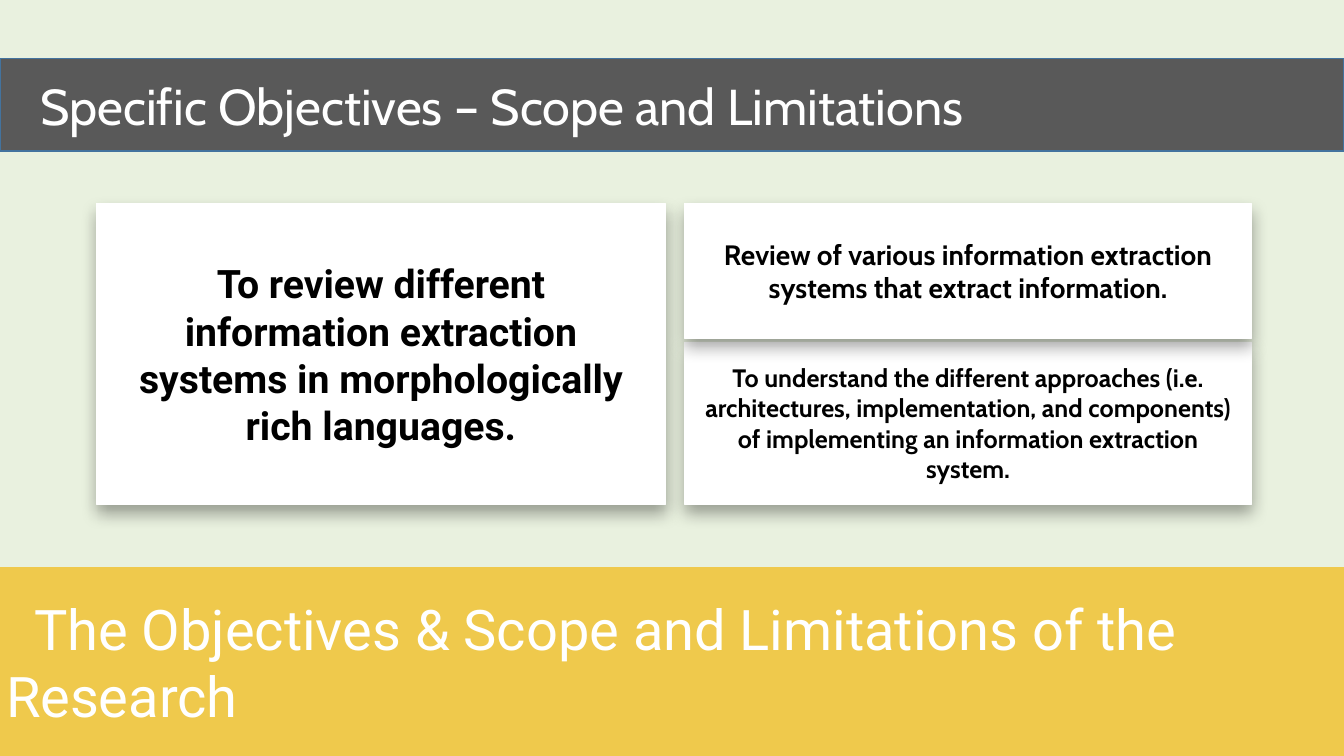
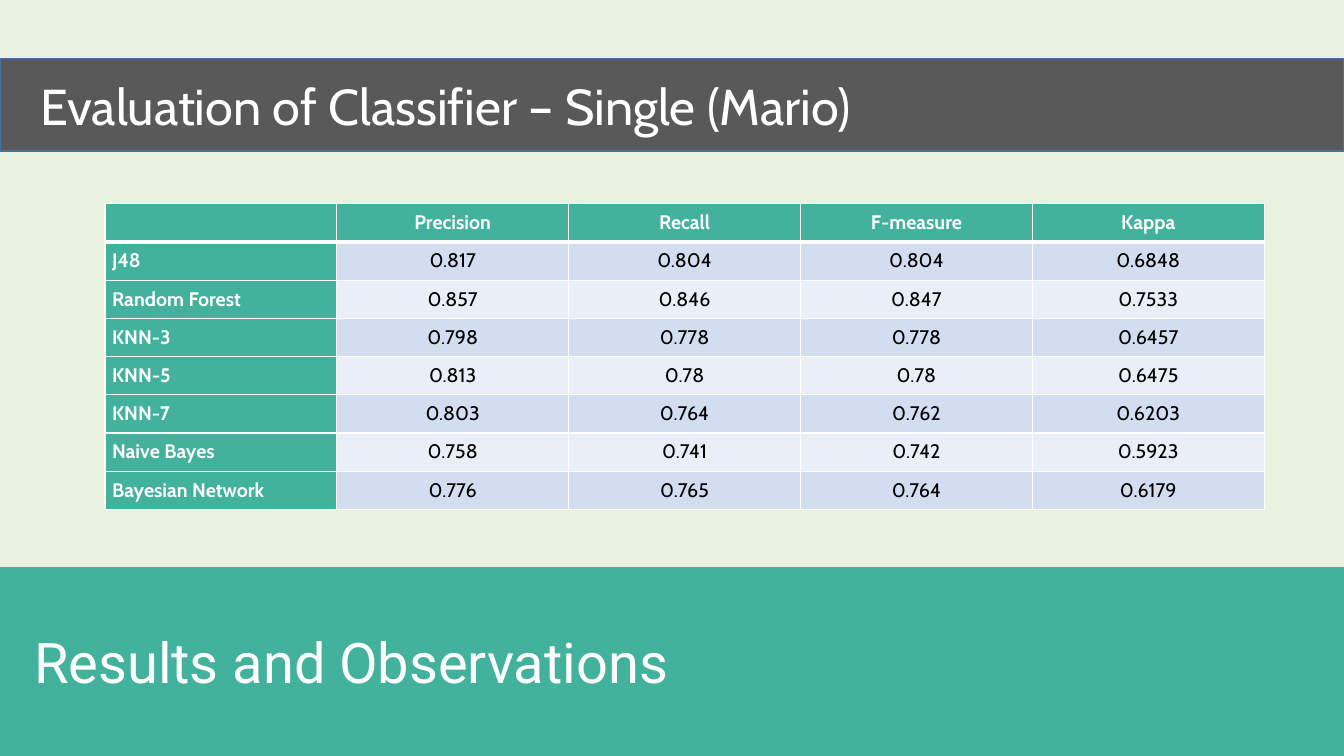
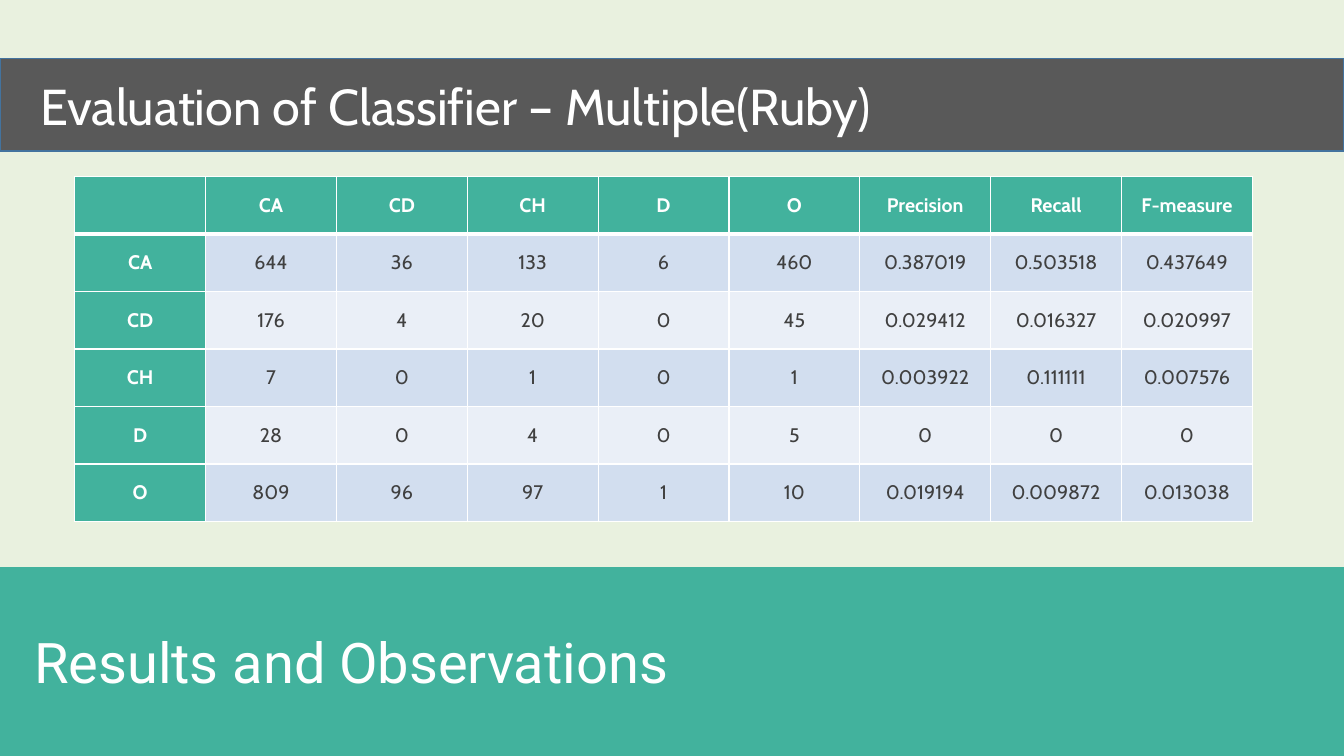
from dataclasses import dataclass

import lxml.etree
import pptx
import pptx.dml.color
import pptx.enum.shapes
import pptx.enum.text
import pptx.oxml.ns
import pptx.util

COLORS = {
    "page": "E9F1DF", "band": "595959", "band_edge": "43739E",
    "objectives": "EFC94C", "results": "42B29D", "white": "FFFFFF",
    "black": "000000", "gray": "404040", "odd_row": "D2DEEF", "even_row": "EAEFF7",
}
HEADING_FONT = "Roboto"
BODY_FONT = "Cabin"
COLUMNS, ROWS = 160, 90
UNIT = pptx.util.Inches(7.5) // ROWS
CELL_MARGIN = pptx.util.Inches(0.07)

ALIGN = pptx.enum.text.PP_ALIGN
MIDDLE = pptx.enum.text.MSO_ANCHOR.MIDDLE
TOP = pptx.enum.text.MSO_ANCHOR.TOP


@dataclass(frozen=True)
class Frame:
    """A place on the slide, in columns and rows of the 160 by 90 grid."""
    left: float
    top: float
    width: float
    height: float

    def emu(self) -> list[int]:
        return [round(n * UNIT) for n in (self.left, self.top, self.width, self.height)]


@dataclass(frozen=True)
class TextStyle:
    font: str
    size: int
    color: str
    bold: bool = False
    align: ALIGN = ALIGN.LEFT


@dataclass(frozen=True)
class Band:
    frame: Frame
    style: TextStyle
    inset: float
    first_line_indent: float


@dataclass(frozen=True)
class Card:
    frame: Frame
    style: TextStyle
    text: str


@dataclass(frozen=True)
class ScoreTable:
    frame: Frame
    headings: list[str]
    scores: dict[str, list[str]]
    score_color: str
    label_align: ALIGN
    anchor: pptx.enum.text.MSO_ANCHOR


TITLE = Band(Frame(0, 7, COLUMNS, 11), TextStyle(BODY_FONT, 36, "white"), 0.1, 0.3)
SECTION = Band(Frame(0, 67.5, COLUMNS, 22.5), TextStyle(HEADING_FONT, 40, "white"), 0.06, 0.28)

CARDS = [
    Card(Frame(11.5, 24.25, 67.7, 35.75),
         TextStyle(HEADING_FONT, 28, "black", True, ALIGN.CENTER),
         "To review different information extraction systems in morphologically rich languages."),
    Card(Frame(81.5, 40.7, 67.5, 19.3),
         TextStyle(BODY_FONT, 18, "black", True, ALIGN.CENTER),
         "To understand the different approaches (i.e. architectures, implementation, "
         "and components) of implementing an information extraction system."),
    Card(Frame(81.5, 24.25, 67.5, 16),
         TextStyle(BODY_FONT, 20, "black", True, ALIGN.CENTER),
         "Review of various information extraction systems that extract information."),
]

SINGLE_SCORES = ScoreTable(
    Frame(12.5, 24.25, 138, 36.4),
    ["Precision", "Recall", "F-measure", "Kappa"],
    {
        "J48": ["0.817", "0.804", "0.804", "0.6848"],
        "Random Forest": ["0.857", "0.846", "0.847", "0.7533"],
        "KNN-3": ["0.798", "0.778", "0.778", "0.6457"],
        "KNN-5": ["0.813", "0.78", "0.78", "0.6475"],
        "KNN-7": ["0.803", "0.764", "0.762", "0.6203"],
        "Naive Bayes": ["0.758", "0.741", "0.742", "0.5923"],
        "Bayesian Network": ["0.776", "0.765", "0.764", "0.6179"],
    },
    "black", ALIGN.JUSTIFY, TOP)

MULTIPLE_SCORES = ScoreTable(
    Frame(8.9, 21, 140.2, 41.1),
    ["CA", "CD", "CH", "D", "O", "Precision", "Recall", "F-measure"],
    {
        "CA": ["644", "36", "133", "6", "460", "0.387019", "0.503518", "0.437649"],
        "CD": ["176", "4", "20", "0", "45", "0.029412", "0.016327", "0.020997"],
        "CH": ["7", "0", "1", "0", "1", "0.003922", "0.111111", "0.007576"],
        "D": ["28", "0", "4", "0", "5", "0", "0", "0"],
        "O": ["809", "96", "97", "1", "10", "0.019194", "0.009872", "0.013038"],
    },
    "gray", ALIGN.CENTER, MIDDLE)


def rgb(name: str) -> pptx.dml.color.RGBColor:
    return pptx.dml.color.RGBColor.from_string(COLORS[name])


def add_node(parent, tag: str, **attributes):
    node = lxml.etree.SubElement(parent, pptx.oxml.ns.qn(tag))
    for name, value in attributes.items():
        node.set(name, str(value))
    return node


def paint(target, color: str) -> None:
    target.fill.solid()
    target.fill.fore_color.rgb = rgb(color)


def write(paragraph, text: str, style: TextStyle) -> None:
    paragraph.alignment = style.align
    if not text:
        add_node(paragraph._p, "a:endParaRPr", sz=style.size * 100)
        return
    run = paragraph.add_run()
    run.text = text
    run.font.name = style.font
    run.font.size = pptx.util.Pt(style.size)
    run.font.bold = style.bold
    run.font.color.rgb = rgb(style.color)


def add_box(slide, frame: Frame, fill: str, edge: str | None = None, edge_width: float = 1):
    box = slide.shapes.add_shape(pptx.enum.shapes.MSO_SHAPE.RECTANGLE, *frame.emu())
    box.shadow.inherit = False
    paint(box, fill)
    if edge:
        box.line.color.rgb = rgb(edge)
        box.line.width = pptx.util.Pt(edge_width)
    else:
        box.line.fill.background()
    box.text_frame.word_wrap = True
    box.text_frame.vertical_anchor = MIDDLE
    return box


def add_band(slide, band: Band, text: str, fill: str, edge: str | None = None) -> None:
    box = add_box(slide, band.frame, fill, edge)
    box.text_frame.margin_left = pptx.util.Inches(band.inset)
    paragraph = box.text_frame.paragraphs[0]
    paragraph._p.get_or_add_pPr().set("indent", str(pptx.util.Inches(band.first_line_indent)))
    write(paragraph, text, band.style)


def add_card(slide, card: Card) -> None:
    box = add_box(slide, card.frame, "white", "white", 0.5)
    effects = box._element.spPr.find(pptx.oxml.ns.qn("a:effectLst"))
    shadow = add_node(effects, "a:outerShdw", blurRad=pptx.util.Pt(12), dist=pptx.util.Pt(6),
                      dir=90 * 60000, algn="ctr", rotWithShape=0)
    tint = add_node(shadow, "a:srgbClr", val=COLORS["black"])
    add_node(tint, "a:alpha", val=35000)
    box.text_frame.margin_left = box.text_frame.margin_right = pptx.util.Inches(0.15)
    write(box.text_frame.paragraphs[0], card.text, card.style)


def set_borders(cell, top: float, bottom: float) -> None:
    properties = cell._tc.get_or_add_tcPr()
    sides = {"a:lnL": 1, "a:lnR": 1, "a:lnT": top, "a:lnB": bottom}
    for position, (tag, points) in enumerate(sides.items()):
        line = add_node(properties, tag, w=pptx.util.Pt(points))
        add_node(add_node(line, "a:solidFill"), "a:srgbClr", val=COLORS["white"])
        properties.insert(position, line)


def add_scores(slide, scores: ScoreTable) -> None:
    lines = [["", *scores.headings]]
    lines += [[label, *values] for label, values in scores.scores.items()]
    table = slide.shapes.add_table(len(lines), len(lines[0]), *scores.frame.emu()).table
    for row, line in enumerate(lines):
        for column, text in enumerate(line):
            cell = table.cell(row, column)
            is_label = row == 0 or column == 0
            if is_label:
                paint(cell, "results")
            else:
                paint(cell, "odd_row" if row % 2 else "even_row")
            set_borders(cell, top=3 if row == 1 else 1, bottom=3 if row == 0 else 1)
            cell.margin_left = cell.margin_right = CELL_MARGIN
            cell.margin_top = cell.margin_bottom = CELL_MARGIN
            cell.vertical_anchor = scores.anchor
            align = scores.label_align if column == 0 else ALIGN.CENTER
            color = "white" if is_label else scores.score_color
            write(cell.text_frame.paragraphs[0], text,
                  TextStyle(BODY_FONT, 14, color, is_label, align))


def add_page(deck, title: str, section: str, section_color: str):
    """Add a slide with the background and the two bands that all slides share."""
    slide = deck.slides.add_slide(deck.slide_layouts[6])
    paint(slide.background, "page")
    add_band(slide, SECTION, section, section_color)
    add_band(slide, TITLE, title, "band", "band_edge")
    return slide


def main() -> None:
    deck = pptx.Presentation()
    deck.slide_width = COLUMNS * UNIT
    deck.slide_height = ROWS * UNIT

    objectives = add_page(deck, "Specific Objectives – Scope and Limitations",
                          "The Objectives & Scope and Limitations of the Research", "objectives")
    for card in CARDS:
        add_card(objectives, card)

    evaluations = {"Single (Mario)": SINGLE_SCORES, "Multiple(Ruby)": MULTIPLE_SCORES}
    for subject, scores in evaluations.items():
        slide = add_page(deck, f"Evaluation of Classifier – {subject}",
                         "Results and Observations", "results")
        add_scores(slide, scores)

    deck.save("out.pptx")


if __name__ == "__main__":
    main()
